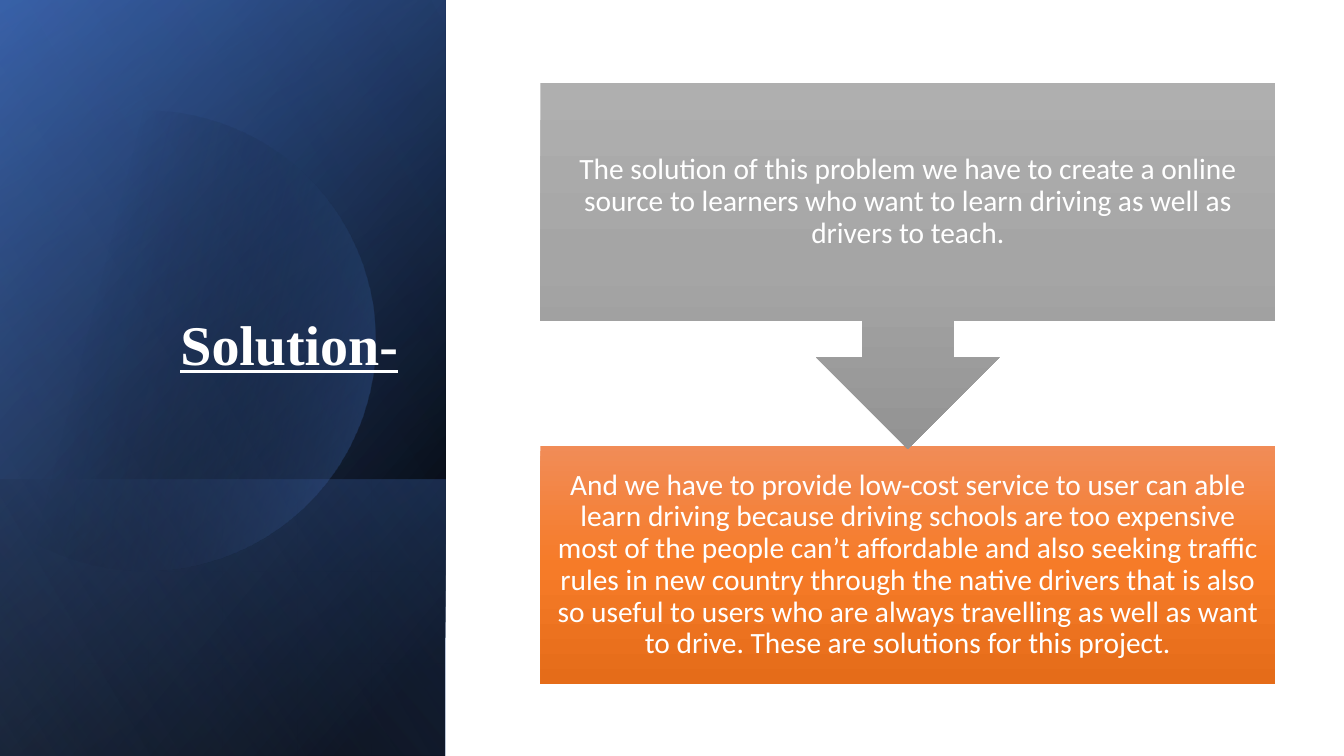
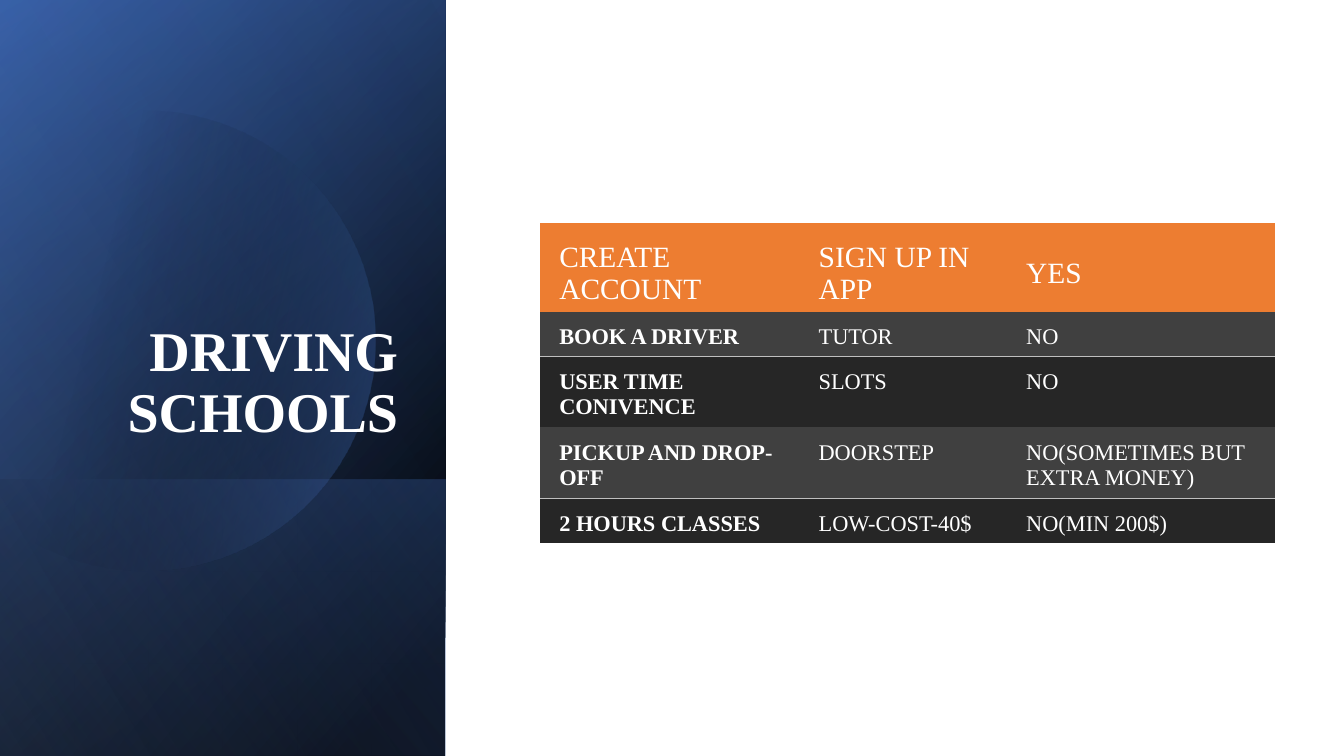
import math
from dataclasses import dataclass

import pptx
import pptx.dml.color
import pptx.enum.shapes
import pptx.enum.text
import pptx.oxml
import pptx.oxml.ns
import pptx.util
from lxml import etree

Pt = pptx.util.Pt
RGBColor = pptx.dml.color.RGBColor
MSO_SHAPE = pptx.enum.shapes.MSO_SHAPE
PP_ALIGN = pptx.enum.text.PP_ALIGN
MSO_ANCHOR = pptx.enum.text.MSO_ANCHOR
qn = pptx.oxml.ns.qn

WHITE = RGBColor(0xFF, 0xFF, 0xFF)
BLACK = RGBColor(0x00, 0x00, 0x00)
NAVY = RGBColor(0x2F, 0x55, 0x97)
BLUE = RGBColor(0x44, 0x72, 0xC4)
PALE_BLUE = RGBColor(0x8F, 0xAA, 0xDC)
ORANGE = RGBColor(0xED, 0x7D, 0x31)
ORANGE_LIGHT = RGBColor(0xF1, 0x8C, 0x57)
ORANGE_MID = RGBColor(0xF6, 0x7B, 0x28)
ORANGE_DARK = RGBColor(0xE5, 0x6C, 0x19)
GRAY_LIGHT = RGBColor(0xAF, 0xAF, 0xAF)
GRAY_MID = RGBColor(0xA5, 0xA5, 0xA5)
GRAY_DARK = RGBColor(0x93, 0x93, 0x93)
ROW_LIGHT = RGBColor(0x40, 0x40, 0x40)
ROW_DARK = RGBColor(0x26, 0x26, 0x26)
RULE = RGBColor(0xBF, 0xBF, 0xBF)

SERIF = "Times New Roman"
SANS = "Calibri"
SLIDE_W, SLIDE_H = 960, 540
PANEL_W = 318.2
CONTENT_LEFT, CONTENT_W = 386, 525


@dataclass(frozen=True)
class Stop:
    position: int
    color: RGBColor
    opacity: int = 100


@dataclass(frozen=True)
class Gradient:
    stops: tuple[Stop, ...]
    angle: int


@dataclass(frozen=True)
class Band:
    top: float
    gradient: Gradient


@dataclass(frozen=True)
class Step:
    preset: MSO_SHAPE
    top: float
    height: float
    gradient: Gradient
    text: str


BACK_BANDS = (
    Band(0, Gradient((Stop(8, BLACK), Stop(100, NAVY)), 50)),
    Band(0, Gradient((Stop(0, BLACK, 0), Stop(99, BLUE, 46)), 30)),
    Band(342.7, Gradient((Stop(2, BLUE, 29), Stop(100, BLACK, 30)), 130)),
)
FRONT_BAND = Band(0, Gradient((Stop(0, BLACK, 0), Stop(99, PALE_BLUE, 11)), 120))
DISC_GRADIENT = Gradient((Stop(29, BLACK, 0), Stop(100, BLUE, 43)), 14)
DISC_X, DISC_Y, DISC_RADIUS = 103.7, 243.4, 164.4

STEPS = (
    Step(
        MSO_SHAPE.RECTANGLE, 318.5, 170,
        Gradient((Stop(0, ORANGE_LIGHT), Stop(50, ORANGE_MID), Stop(100, ORANGE_DARK)), 90),
        "And we have to provide low-cost service to user can able learn driving because "
        "driving schools are too expensive most of the people can’t affordable and also "
        "seeking traffic rules in new country through the native drivers that is also so "
        "useful to users who are always travelling as well as want to drive. These are "
        "solutions for this project.",
    ),
    Step(
        MSO_SHAPE.DOWN_ARROW_CALLOUT, 59.3, 261.4,
        Gradient((Stop(0, GRAY_LIGHT), Stop(50, GRAY_MID), Stop(100, GRAY_DARK)), 90),
        "The solution of this problem we have to create a online source to learners who "
        "want to learn driving as well as drivers to teach.",
    ),
)

COLUMN_WIDTHS = (185.3, 148.3, 191.4)
ROW_HEIGHTS = (63.5, 32, 50.7, 50.7, 32)
ROWS = (
    ("CREATE ACCOUNT", "SIGN UP IN APP", "YES"),
    ("BOOK A DRIVER", "TUTOR", "NO"),
    ("USER TIME CONIVENCE", "SLOTS", "NO"),
    ("PICKUP AND DROP-OFF", "DOORSTEP", "NO(SOMETIMES BUT EXTRA MONEY)"),
    ("2 HOURS CLASSES", "LOW-COST-40$", "NO(MIN 200$)"),
)


def paint(shape, gradient: Gradient) -> None:
    shape.shadow.inherit = False
    shape.line.fill.background()
    shape.fill.gradient()
    shape.fill.gradient_angle = (360 - gradient.angle) % 360
    stop_list = shape._element.spPr.find(".//" + qn("a:gsLst"))
    for old_stop in list(stop_list):
        stop_list.remove(old_stop)
    for stop in gradient.stops:
        entry = etree.SubElement(stop_list, qn("a:gs"), pos=str(stop.position * 1000))
        color = etree.SubElement(entry, qn("a:srgbClr"), val=str(stop.color))
        if stop.opacity < 100:
            etree.SubElement(color, qn("a:alpha"), val=str(stop.opacity * 1000))


def set_insets(frame, left: float, top: float, right: float, bottom: float) -> None:
    frame.margin_left, frame.margin_right = Pt(left), Pt(right)
    frame.margin_top, frame.margin_bottom = Pt(top), Pt(bottom)


def style_font(font, name: str, size: float, bold: bool = False) -> None:
    font.name, font.size, font.bold = name, Pt(size), bold
    font.color.rgb = WHITE


def add_band(slide, band: Band) -> None:
    length = SLIDE_H - band.top
    center_y = band.top + length / 2
    panel = slide.shapes.add_shape(
        MSO_SHAPE.RECTANGLE,
        Pt((PANEL_W - length) / 2), Pt(center_y - PANEL_W / 2), Pt(length), Pt(PANEL_W),
    )
    panel.rotation = 90
    panel._element.spPr.find(qn("a:xfrm")).set("flipH", "1")
    paint(panel, band.gradient)


def add_disc(slide) -> None:
    reach = math.acos(-DISC_X / DISC_RADIUS)
    count = 120
    angles = [reach * (2 * step / count - 1) for step in range(count + 1)]
    points = [
        (Pt(DISC_X + DISC_RADIUS * math.cos(angle)), Pt(DISC_Y + DISC_RADIUS * math.sin(angle)))
        for angle in angles
    ]
    outline = slide.shapes.build_freeform(*points[0])
    outline.add_line_segments(points[1:], close=True)
    paint(outline.convert_to_shape(), DISC_GRADIENT)


def add_titled_slide(deck, heading: str, underline: bool = False, line_after: bool = False):
    slide = deck.slides.add_slide(deck.slide_layouts[5])
    for band in BACK_BANDS:
        add_band(slide, band)
    add_disc(slide)
    add_band(slide, FRONT_BAND)

    title = slide.shapes.title
    slide.shapes._spTree.append(title._element)
    title.left, title.top, title.width, title.height = Pt(46), Pt(132.5), Pt(245.5), Pt(188.6)
    frame = title.text_frame
    frame.text = heading + ("\v" if line_after else "")
    frame.word_wrap = True
    frame.auto_size = pptx.enum.text.MSO_AUTO_SIZE.NONE
    frame.vertical_anchor = MSO_ANCHOR.BOTTOM
    set_insets(frame, 7.2, 3.6, 7.2, 3.6)
    paragraph = frame.paragraphs[0]
    paragraph.alignment = PP_ALIGN.RIGHT
    paragraph.line_spacing = 0.9
    style_font(paragraph.font, SERIF, 40, True)
    paragraph.font.underline = underline
    if line_after:
        line_break = paragraph._p.find(qn("a:br"))
        etree.SubElement(line_break, qn("a:rPr"), sz="4000")
    return slide


def add_step(slide, step: Step) -> None:
    box = slide.shapes.add_shape(
        step.preset, Pt(CONTENT_LEFT), Pt(step.top), Pt(CONTENT_W), Pt(step.height)
    )
    paint(box, step.gradient)
    frame = box.text_frame
    frame.text = step.text
    frame.word_wrap = True
    frame.vertical_anchor = MSO_ANCHOR.MIDDLE
    set_insets(frame, 11.5, 11.5, 11.5, 11.5)
    paragraph = frame.paragraphs[0]
    paragraph.alignment = PP_ALIGN.CENTER
    paragraph.line_spacing = 0.9
    style_font(paragraph.font, SANS, 21)


def set_borders(cell, ruled_sides: str) -> None:
    properties = cell._tc.get_or_add_tcPr()
    for position, side in enumerate("LRTB"):
        border = etree.Element(qn(f"a:ln{side}"), w=str(Pt(1)))
        if side in ruled_sides:
            fill = etree.SubElement(border, qn("a:solidFill"))
            etree.SubElement(fill, qn("a:srgbClr"), val=str(RULE))
        else:
            etree.SubElement(border, qn("a:noFill"))
        properties.insert(position, border)


def add_comparison(slide) -> None:
    table = slide.shapes.add_table(
        len(ROWS), len(COLUMN_WIDTHS),
        Pt(CONTENT_LEFT), Pt(159.2), Pt(CONTENT_W), Pt(sum(ROW_HEIGHTS)),
    ).table
    for column, width in zip(table.columns, COLUMN_WIDTHS):
        column.width = Pt(width)
    for row_index, (texts, height) in enumerate(zip(ROWS, ROW_HEIGHTS)):
        table.rows[row_index].height = Pt(height)
        header = row_index == 0
        odd = row_index % 2 == 1
        row_color = ORANGE if header else ROW_LIGHT if odd else ROW_DARK
        ruled_sides = "" if header else "B" if odd else "T"
        for column_index, text in enumerate(texts):
            cell = table.cell(row_index, column_index)
            cell.text = text
            cell.fill.solid()
            cell.fill.fore_color.rgb = row_color
            cell.vertical_anchor = MSO_ANCHOR.MIDDLE if header else MSO_ANCHOR.TOP
            set_insets(cell, 13.5, 9.2, 13.5, 0)
            bold = column_index == 0 and not header
            style_font(cell.text_frame.paragraphs[0].font, SERIF, 21 if header else 16, bold)
            set_borders(cell, ruled_sides)


def main() -> None:
    """Build the two-slide driving lessons deck."""
    deck = pptx.Presentation()
    deck.slide_width, deck.slide_height = Pt(SLIDE_W), Pt(SLIDE_H)

    solution = add_titled_slide(deck, "Solution-", underline=True, line_after=True)
    for step in STEPS:
        add_step(solution, step)

    add_comparison(add_titled_slide(deck, "DRIVING SCHOOLS"))
    deck.save("out.pptx")


if __name__ == "__main__":
    main()
